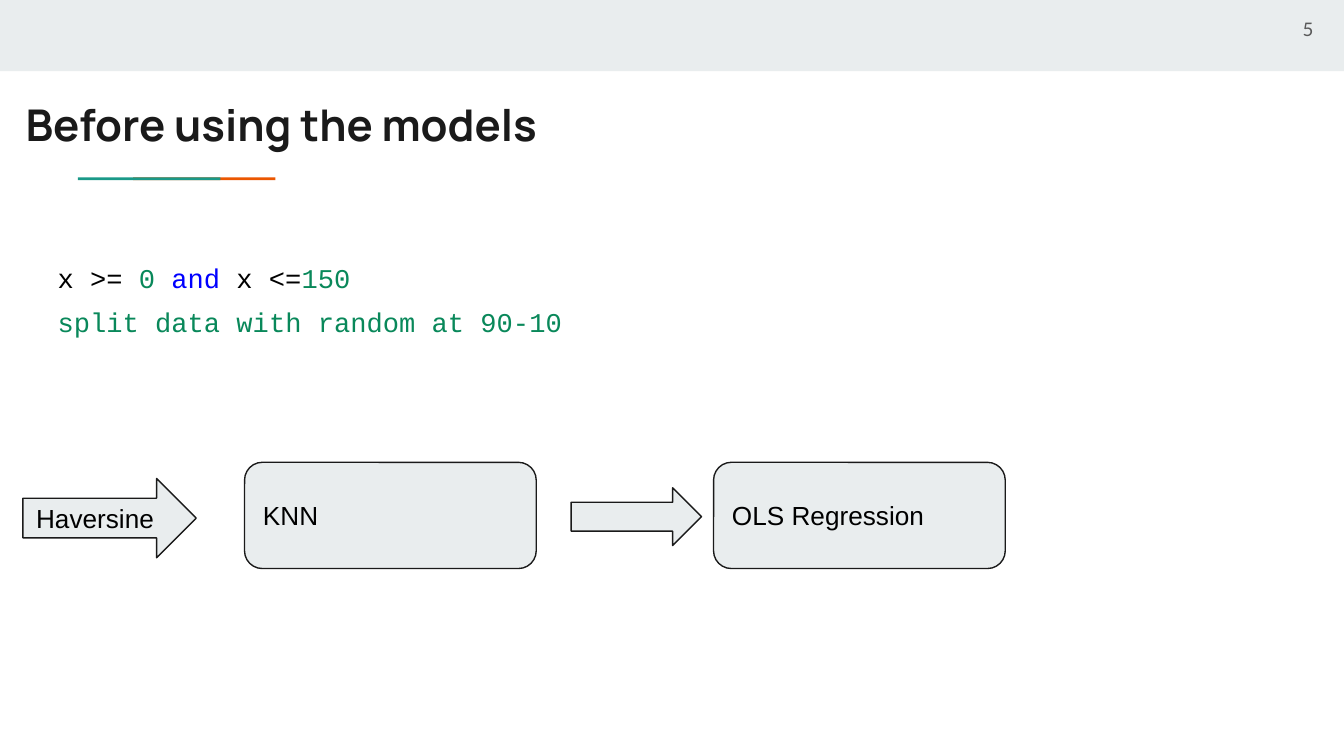
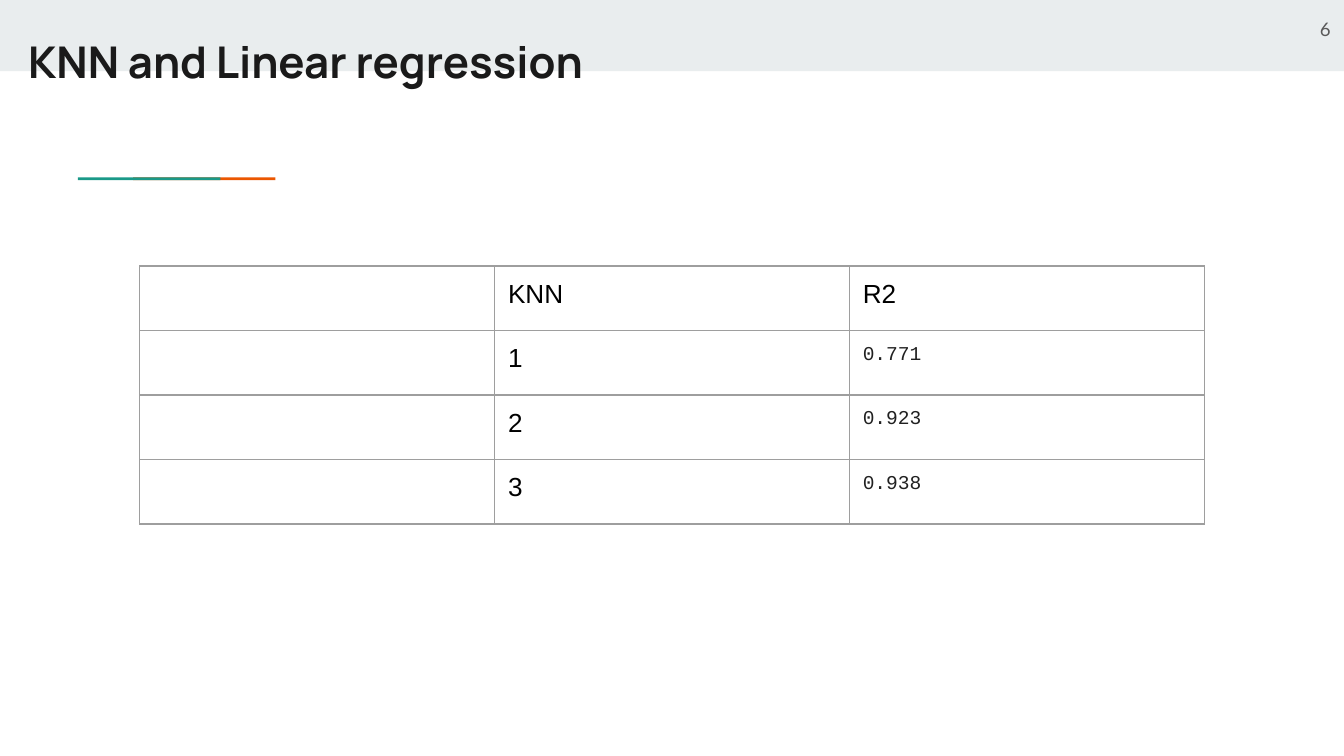
from lxml.etree import SubElement
from pptx import Presentation
from pptx.dml.color import RGBColor
from pptx.enum.shapes import MSO_SHAPE as Kind
from pptx.enum.text import MSO_ANCHOR as Anchor, PP_ALIGN as Align
from pptx.oxml.ns import qn
from pptx.util import Inches, Pt

HUES = {"band": "E9EDEE", "ink": "1A1A1A", "teal": "1A9988", "orange": "EB5600",
        "grey": "595959", "black": "000000", "green": "09885A", "blue": "0000FF",
        "rule": "9E9E9E", "score": "212121", "white": "FFFFFF"}
BODY = ("Arial", 14, "black")
CODE = ("Courier New", 14.5, "black")
SCORE = ("Courier New", 10.5, "score")

WIDE = 10
TALL = WIDE * 9 / 16
STRIPES = [(0.99, "orange"), (0.58, "teal")]
RULES = [
    [("x >= ", "black"), ("0", "green"), (" ", "black"), ("and", "blue"),
     (" x <=", "black"), ("150", "green")],
    [("split data with random at 90-10", "green")],
]
STEPS = [
    (Kind.ROUNDED_RECTANGLE, (1.82, 3.44, 2.17, 0.79), "KNN"),
    (Kind.ROUNDED_RECTANGLE, (5.31, 3.44, 2.17, 0.79), "OLS Regression"),
    (Kind.RIGHT_ARROW, (4.25, 3.63, 0.97, 0.43), ""),
    (Kind.RIGHT_ARROW, (0.17, 3.56, 1.29, 0.59), "Haversine"),
]
TABLE = [("", "KNN", "R2"), ("", "1", "0.771"), ("", "2", "0.923"), ("", "3", "0.938")]


def tint(name):
    return RGBColor.from_string(HUES[name])


def style(font, look, bold=False):
    face, size, hue = look
    font.name, font.size, font.bold = face, Pt(size), bold
    font.color.rgb = tint(hue)


def pad(frame, anchor):
    frame.word_wrap = True
    frame.vertical_anchor = anchor
    frame.margin_left = frame.margin_right = Inches(0.1)
    frame.margin_top = frame.margin_bottom = Inches(0.1)


def write(frame, text, look, anchor=Anchor.MIDDLE, align=Align.LEFT, bold=False):
    pad(frame, anchor)
    line = frame.paragraphs[0]
    line.text, line.alignment = text, align
    style(line.font, look, bold)


def draw(slide, kind, box, fill, edge=None):
    shape = slide.shapes.add_shape(kind, *map(Inches, box))
    shape.shadow.inherit = False
    shape.fill.solid()
    shape.fill.fore_color.rgb = tint(fill)
    if edge:
        shape.line.color.rgb = tint(edge)
        shape.line.width = Pt(0.75)
    else:
        shape.line.fill.background()
    return shape


def start(deck, title, box, number, spot):
    slide = deck.slides.add_slide(deck.slide_layouts[5])
    draw(slide, Kind.RECTANGLE, (0, 0, WIDE, 0.53), "band")
    for left, hue in STRIPES:
        draw(slide, Kind.RECTANGLE, (left, 1.32, 1.06, 0.02), hue)
    head = slide.shapes.title
    slide.shapes._spTree.append(head._element)
    head.left, head.top, head.width, head.height = map(Inches, box)
    write(head.text_frame, title, ("Manrope", 23.4, "ink"), Anchor.TOP, bold=True)
    page = slide.shapes.add_textbox(*map(Inches, spot))
    write(page.text_frame, number, ("Lato", 10, "grey"), align=Align.RIGHT)
    return slide


def add_rules(slide):
    frame = slide.shapes.add_textbox(*map(Inches, (0.33, 1.76, 8.41, 2.47))).text_frame
    pad(frame, Anchor.TOP)
    for row, parts in enumerate(RULES):
        line = frame.add_paragraph() if row else frame.paragraphs[0]
        line.line_spacing = 1.36
        for text, hue in parts:
            run = line.add_run()
            run.text = text
            style(run.font, (*CODE[:2], hue))


def add_steps(slide):
    for kind, box, text in STEPS:
        shape = draw(slide, kind, box, "band", "ink")
        if text:
            write(shape.text_frame, text, BODY)


def frame_cell(cell):
    props = cell._tc.get_or_add_tcPr()
    for side in ("lnL", "lnR", "lnT", "lnB"):
        edge = SubElement(props, qn(f"a:{side}"), w=str(Pt(0.75)))
        fill = SubElement(edge, qn("a:solidFill"))
        SubElement(fill, qn("a:srgbClr"), val=HUES["rule"])
    cell.fill.solid()
    cell.fill.fore_color.rgb = tint("white")
    cell.margin_left = cell.margin_right = Inches(0.1)
    cell.margin_top = cell.margin_bottom = Inches(0.1)


def add_scores(slide):
    rows, cols = len(TABLE), len(TABLE[0])
    box = map(Inches, (1.04, 1.98, 2.64 * cols, 0.48 * rows))
    table = slide.shapes.add_table(rows, cols, *box).table
    table.first_row = table.horz_banding = False
    for r, row in enumerate(TABLE):
        for c, text in enumerate(row):
            cell = table.cell(r, c)
            frame_cell(cell)
            line = cell.text_frame.paragraphs[0]
            line.text = text
            style(line.font, SCORE if r and c == cols - 1 else BODY)


def main():
    deck = Presentation()
    deck.slide_width, deck.slide_height = Inches(WIDE), Inches(TALL)
    models = start(deck, "Before using the models", (0.09, 0.63, 8.41, 0.59),
                   "5", (9.27, 0, 0.6, 0.43))
    add_rules(models)
    add_steps(models)
    scores = start(deck, "KNN and Linear regression", (0.11, 0.16, 9.32, 0.63),
                   "6", (9.3, 0, 0.7, 0.43))
    add_scores(scores)
    deck.save("out.pptx")


if __name__ == "__main__":
    main()
